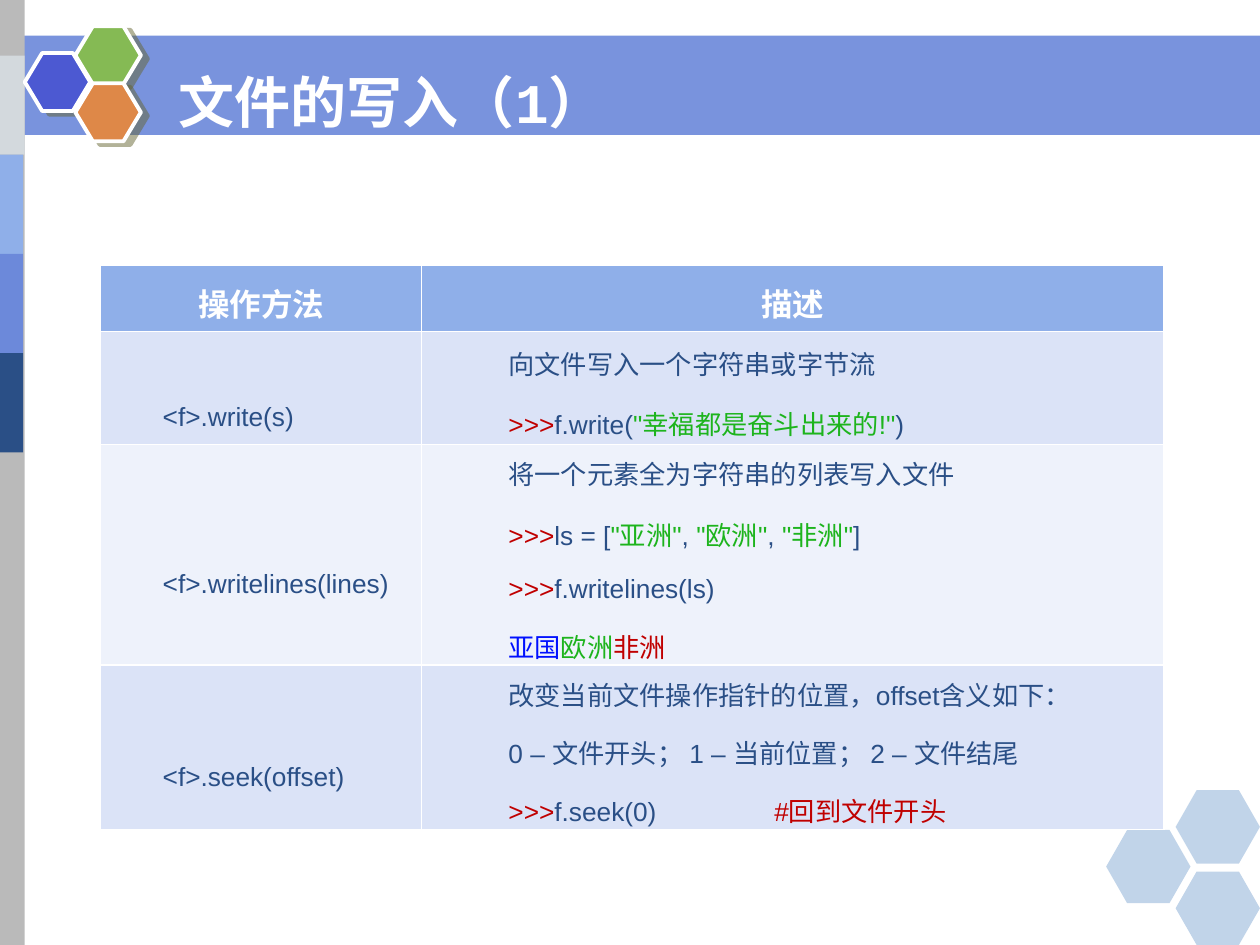
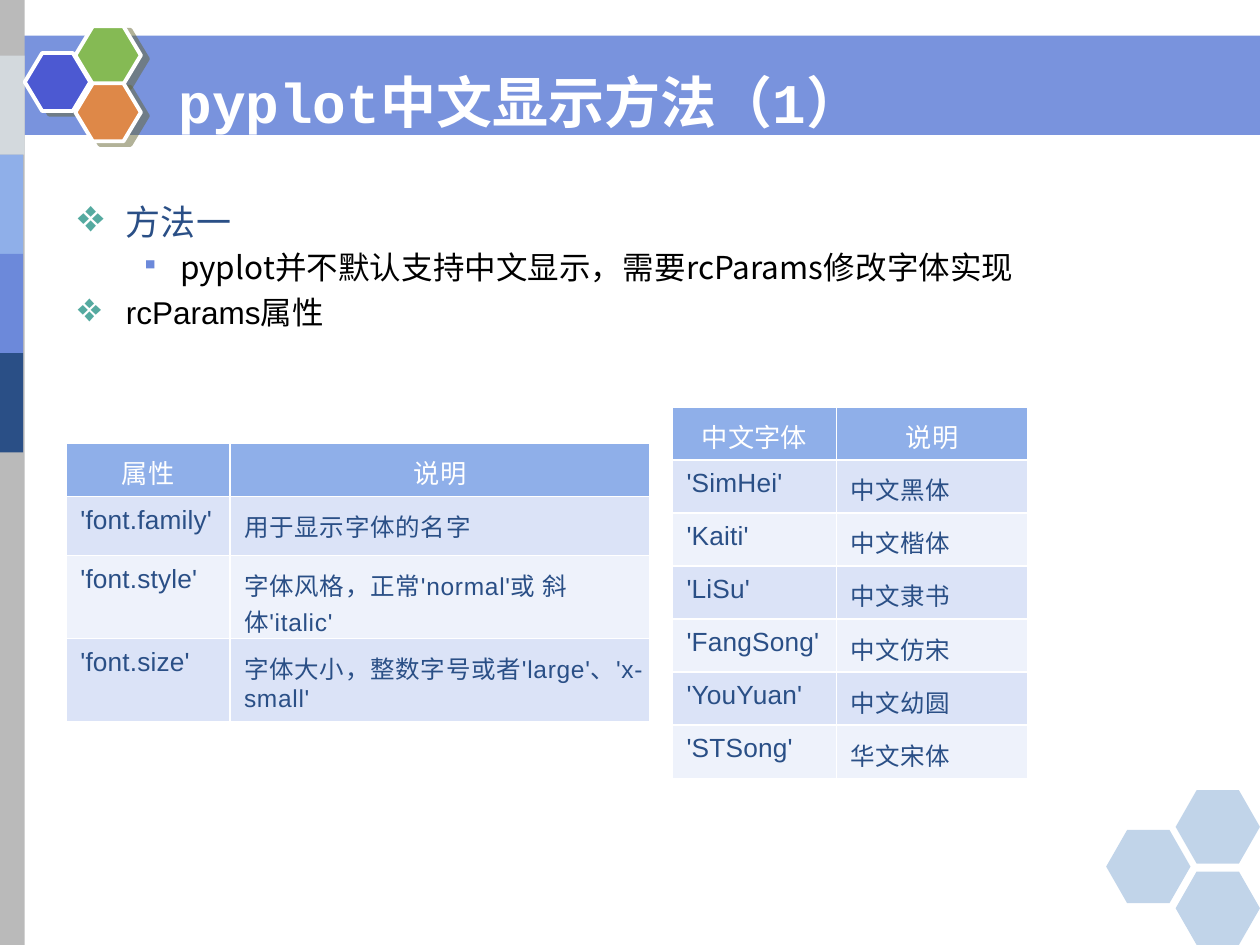
"""Build two course slides on writing files and on Chinese text in pyplot."""
from lxml.etree import SubElement
from pptx import Presentation
from pptx.dml.color import RGBColor
from pptx.enum.shapes import MSO_SHAPE
from pptx.enum.text import MSO_ANCHOR, PP_ALIGN
from pptx.oxml.ns import qn
from pptx.util import Cm, Pt

WHITE = RGBColor(0xFF, 0xFF, 0xFF)
BLACK = RGBColor(0, 0, 0)
GREY = RGBColor(0xBA, 0xBA, 0xBA)
SILVER = RGBColor(0xD3, 0xD9, 0xDD)
SKY = RGBColor(0x8F, 0xAF, 0xE9)
BLUE = RGBColor(0x6C, 0x89, 0xDA)
NAVY = RGBColor(0x2A, 0x4F, 0x86)
STEEL = RGBColor(0x50, 0x86, 0xC2)
INDIGO = RGBColor(0x4C, 0x59, 0xD2)
LEAF = RGBColor(0x85, 0xBA, 0x54)
ORANGE = RGBColor(0xDE, 0x88, 0x48)
TEAL = RGBColor(0x55, 0xAA, 0xA0)
RED = RGBColor(0xC0, 0, 0)
GREEN = RGBColor(0x1D, 0xB4, 0x1D)
PURE_BLUE = RGBColor(0, 0x10, 0xFF)
ROW_FILLS = [RGBColor(0xEE, 0xF2, 0xFB), RGBColor(0xDB, 0xE3, 0xF7)]
CJK = "Noto Sans CJK SC"


def write(paragraph, text, size=15, color=NAVY, font="Arial", bold=False, spacing=0):
    """Add one formatted run; spacing is in points."""
    run = paragraph.add_run()
    run.text = text
    run.font.size = Pt(size)
    run.font.bold = bold
    run.font.color.rgb = color
    run.font.name = font
    properties = run._r.get_or_add_rPr()
    properties.set("spc", str(round(spacing * 100)))
    SubElement(properties, qn("a:ea"), typeface=CJK)


def add_grid(slide, left, top, columns, heights, header, rows, gaps=None, anchor=MSO_ANCHOR.TOP):
    """Add a table; a cell is a string or a list of lines of (text, colour) runs."""
    width = sum(column["width"] for column in columns)
    table = slide.shapes.add_table(len(heights), len(columns), Cm(left), Cm(top),
                                   Cm(width), Cm(sum(heights))).table
    for column, layout in zip(table.columns, columns):
        column.width = Cm(layout["width"])
    for r, (height, entries) in enumerate(zip(heights, rows)):
        table.rows[r].height = Cm(height)
        for c, (entry, layout) in enumerate(zip(entries, columns)):
            style = layout["style"] if r else header
            cell = table.cell(r, c)
            cell.fill.solid()
            cell.fill.fore_color.rgb = ROW_FILLS[r % 2] if r else SKY
            cell.vertical_anchor = anchor
            cell.margin_left = Cm(layout["indent"] if r else 0)
            cell.margin_top = Cm(layout["top"] if r else 0.2)
            cell.margin_right = cell.margin_bottom = 0
            lines = [[(entry, NAVY if r else WHITE)]] if isinstance(entry, str) else entry
            for i, line in enumerate(lines):
                paragraph = cell.text_frame.paragraphs[0] if i == 0 else cell.text_frame.add_paragraph()
                paragraph.alignment = PP_ALIGN.LEFT if r else PP_ALIGN.CENTER
                if i:
                    paragraph.space_before = Pt(gaps[r])
                for text, color in line:
                    write(paragraph, text, color=color, **style)
    return table


prs = Presentation()
prs.slide_width, prs.slide_height = Cm(25.4), Cm(19.05)
title_only = prs.slide_layouts[5]
for placeholder in list(title_only.placeholders)[1:]:
    title_only.shapes.element.remove(placeholder.element)

slides = []
for heading in ["文件的写入（1）", "pyplot中文显示方法（1）"]:
    slide = prs.slides.add_slide(title_only)
    title = slide.shapes.title
    title.left, title.top, title.width, title.height = Cm(3.32), Cm(1.14), Cm(20.47), Cm(1.78)
    title.text_frame.vertical_anchor = MSO_ANCHOR.MIDDLE
    title.text_frame.margin_left = title.text_frame.margin_right = Cm(0.28)
    title.text_frame.paragraphs[0].alignment = PP_ALIGN.LEFT
    write(title.text_frame.paragraphs[0], heading, size=32, color=WHITE, font="Courier New", bold=True)
    slides.append(slide)
file_slide, pyplot_slide = slides

decor = [(0, 0.72, 25.4, 2, BLUE, 91, None), (0, 0, 0.5, 19.05, GREY, 100, None)]
for i, color in enumerate([SILVER, SKY, BLUE, NAVY]):
    decor.append((0, 1.12 + 2 * i, 0.47 if i else 0.5, 2, color, 100, None))
for left, top, color in [(0.5, 1.07, INDIGO), (1.52, 0.53, LEAF), (1.52, 1.68, ORANGE)]:
    decor.append((left, top, 1.32, 1.17, color, 100, 0.3))
for left, top in [(22.3, 16.73), (23.7, 15.93), (23.7, 17.57)]:
    decor.append((left, top, 1.7, 1.48, STEEL, 35, 0.286))

decorations = []
for left, top, width, height, color, opacity, slant in decor:
    preset = MSO_SHAPE.HEXAGON if slant else MSO_SHAPE.RECTANGLE
    part = file_slide.shapes.add_shape(preset, Cm(left), Cm(top), Cm(width), Cm(height))
    part.fill.solid()
    part.fill.fore_color.rgb = color
    part.line.fill.background()
    part.shadow.inherit = False
    if slant:
        part.adjustments[0] = slant
    if opacity < 100:
        tint = part.element.spPr.find(qn("a:solidFill"))[0]
        SubElement(tint, qn("a:alpha"), val=str(opacity * 1000))
    elif slant:
        part.line.color.rgb = WHITE
        part.line.width = Pt(2.25)
        effects = part.element.spPr.find(qn("a:effectLst"))
        shadow = SubElement(effects, qn("a:outerShdw"), dist=str(Pt(4.5)), dir=str(27 * 60000))
        shade = SubElement(shadow, qn("a:srgbClr"), val="666633")
        SubElement(shade, qn("a:alpha"), val="50000")
    decorations.append(part)
for part in decorations:
    title_only.shapes.element.append(part.element)

PROMPT = (">>>", RED)
write_lines = [
    [("向文件写入一个字符串或字节流", NAVY)],
    [PROMPT, ("f.write(", NAVY), ("\"幸福都是奋斗出来的!\"", GREEN), (")", NAVY)],
]
writelines_lines = [
    [("将一个元素全为字符串的列表写入文件", NAVY)],
    [PROMPT, ("ls = [", NAVY), ("\"亚洲\"", GREEN), (", ", NAVY), ("\"欧洲\"", GREEN),
     (", ", NAVY), ("\"非洲\"", GREEN), ("]", NAVY)],
    [PROMPT, ("f.writelines(ls)", NAVY)],
    [("亚国", PURE_BLUE), ("欧洲", GREEN), ("非洲", RED)],
]
seek_lines = [
    [("改变当前文件操作指针的位置，offset含义如下：", NAVY)],
    [("0 – 文件开头； 1 – 当前位置； 2 – 文件结尾", NAVY)],
    [PROMPT, ("f.seek(0)\t", NAVY), ("#回到文件开头", RED)],
]
methods = add_grid(
    file_slide, 2.03, 5.34,
    [dict(width=6.47, top=1.2, indent=1.25, style=dict()),
     dict(width=14.96, top=0.2, indent=1.75, style=dict())],
    [1.34, 2.28, 3.86, 3], dict(size=18, bold=True),
    [("操作方法", "描述"),
     ("<f>.write(s)", write_lines),
     ("<f>.writelines(lines)", writelines_lines),
     ("<f>.seek(offset)", seek_lines)],
    gaps=[0, 12.4, 12.8, 11.6], anchor=MSO_ANCHOR.MIDDLE)
seek_call = methods.cell(3, 1).text_frame.paragraphs[-1]
tab_stops = SubElement(seek_call._p.get_or_add_pPr(), qn("a:tabLst"))
SubElement(tab_stops, qn("a:tab"), pos=str(Cm(5.36)), algn="l")

outline = pyplot_slide.shapes.add_textbox(Cm(1.32), Cm(3.91), Cm(23.55), Cm(3.18)).text_frame
outline.word_wrap = True
points = [
    ("方法一", "❖", 130, TEAL, 0.97, 0.97, dict(size=20, font="Courier New")),
    ("pyplot并不默认支持中文显示，需要rcParams修改字体实现", "▪", 80, BLUE, 2.06, 0.79,
     dict(size=18, color=BLACK, font=CJK, spacing=0.05)),
    ("rcParams属性", "❖", 130, TEAL, 0.97, 0.97, dict(size=18, color=BLACK)),
]
for i, (text, mark, mark_percent, mark_color, indent, hanging, style) in enumerate(points):
    paragraph = outline.add_paragraph() if i else outline.paragraphs[0]
    properties = paragraph._p.get_or_add_pPr()
    properties.set("marL", str(Cm(indent)))
    properties.set("indent", str(-Cm(hanging)))
    SubElement(SubElement(properties, qn("a:buClr")), qn("a:srgbClr"), val=str(mark_color))
    SubElement(properties, qn("a:buSzPct"), val=str(mark_percent * 1000))
    SubElement(properties, qn("a:buChar"), char=mark)
    if i:
        paragraph.space_before = Pt(3.6)
    write(paragraph, text, **style)

name_column = dict(width=3.3, top=0.18, indent=0.28, style=dict(spacing=0.1))
note_style = dict(size=14, spacing=0.4)
note_header = dict(spacing=0.1)
add_grid(
    pyplot_slide, 1.34, 8.94,
    [name_column, dict(width=8.46, top=0.23, indent=0.28, style=note_style)],
    [1.07, 1.19, 1.67, 1.67], note_header,
    [("属性", "说明"),
     ("'font.family'", "用于显示字体的名字"),
     ("'font.style'", "字体风格，正常'normal'或 斜体'italic'"),
     ("'font.size'", "字体大小，整数字号或者'large'、'x‐small'")])
add_grid(
    pyplot_slide, 13.56, 8.2,
    [name_column, dict(width=3.86, top=0.23, indent=0.28, style=note_style)],
    [1.07] * 7, note_header,
    [("中文字体", "说明"), ("'SimHei'", "中文黑体"), ("'Kaiti'", "中文楷体"), ("'LiSu'", "中文隶书"),
     ("'FangSong'", "中文仿宋"), ("'YouYuan'", "中文幼圆"), ("'STSong'", "华文宋体")])

prs.save("out.pptx")
